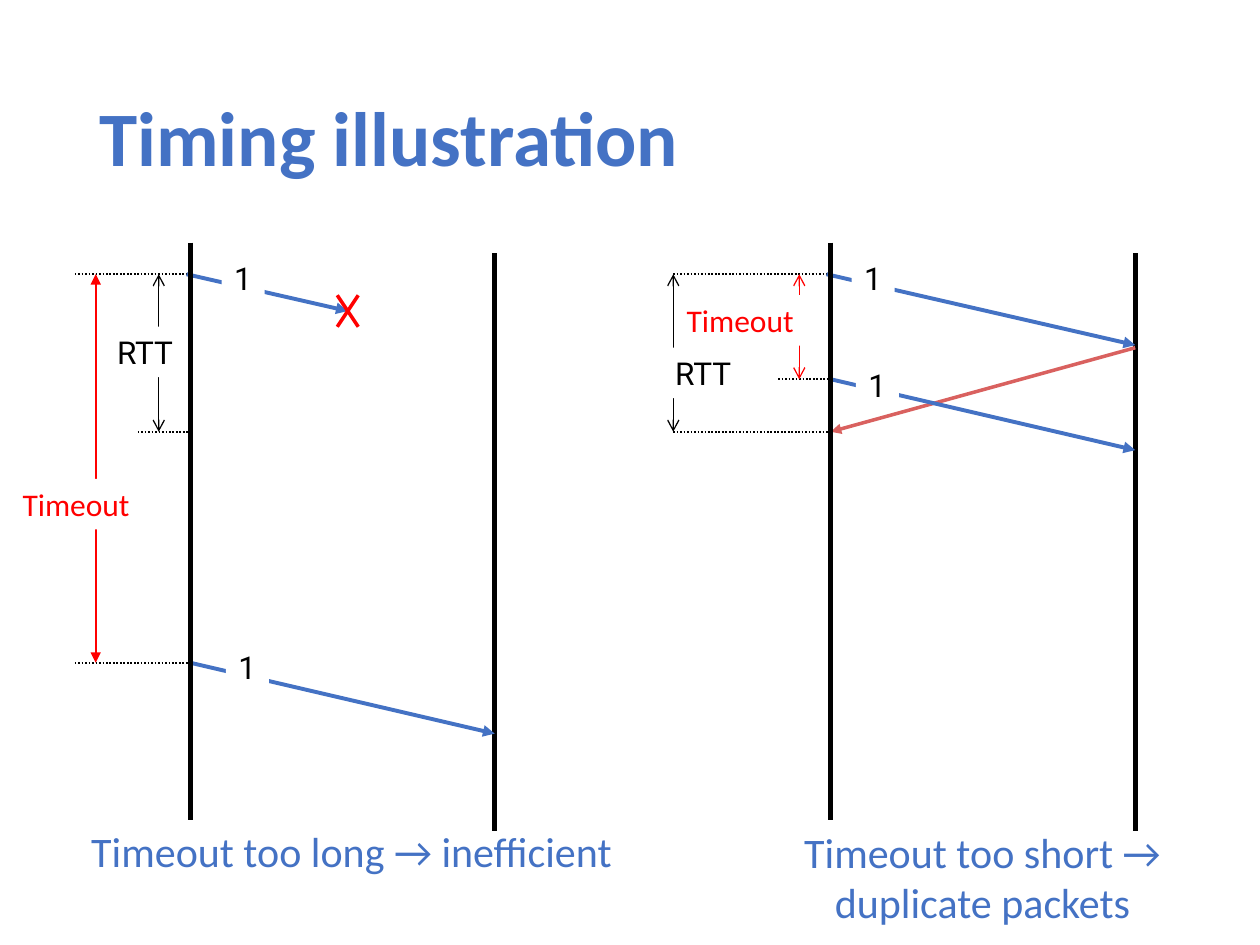
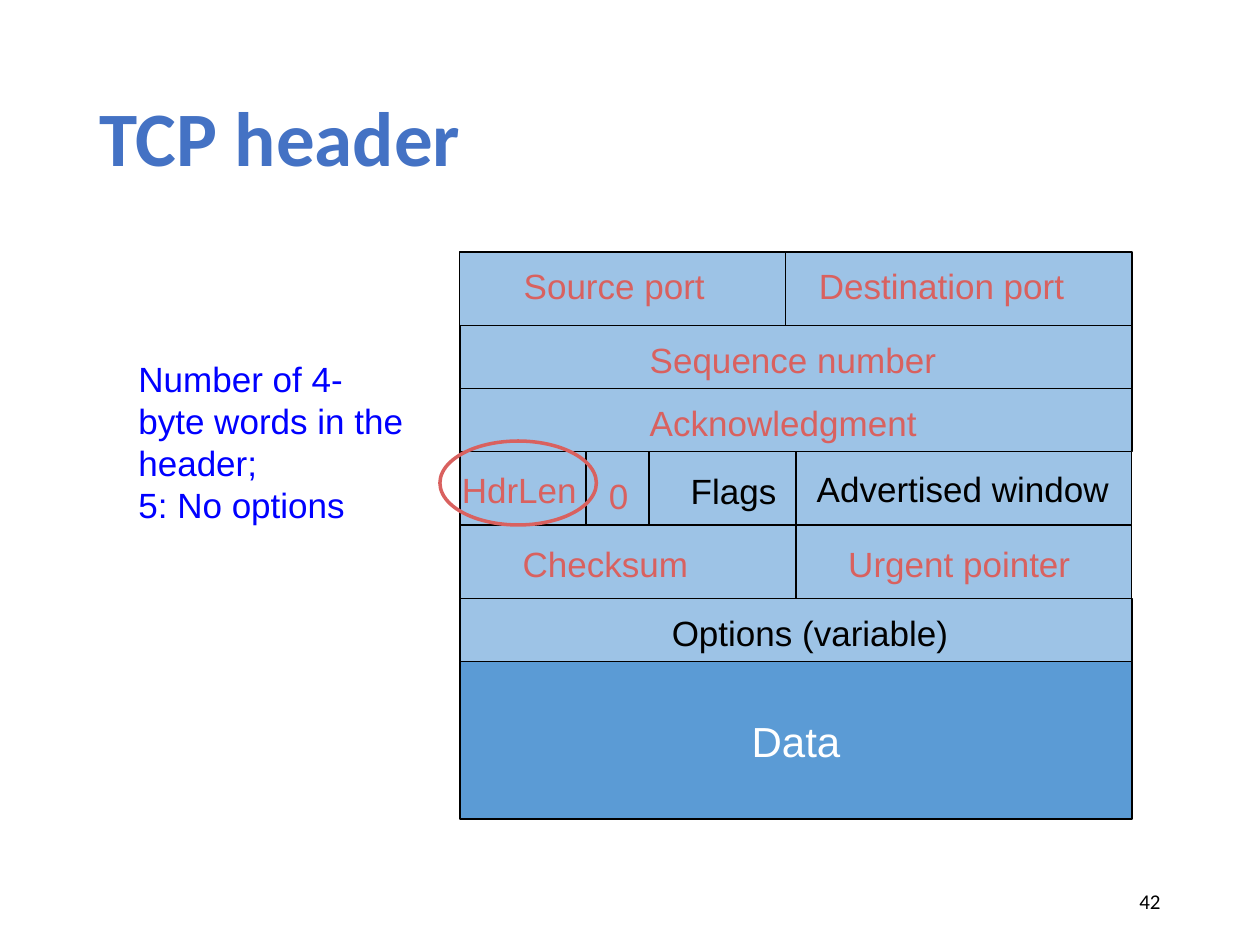
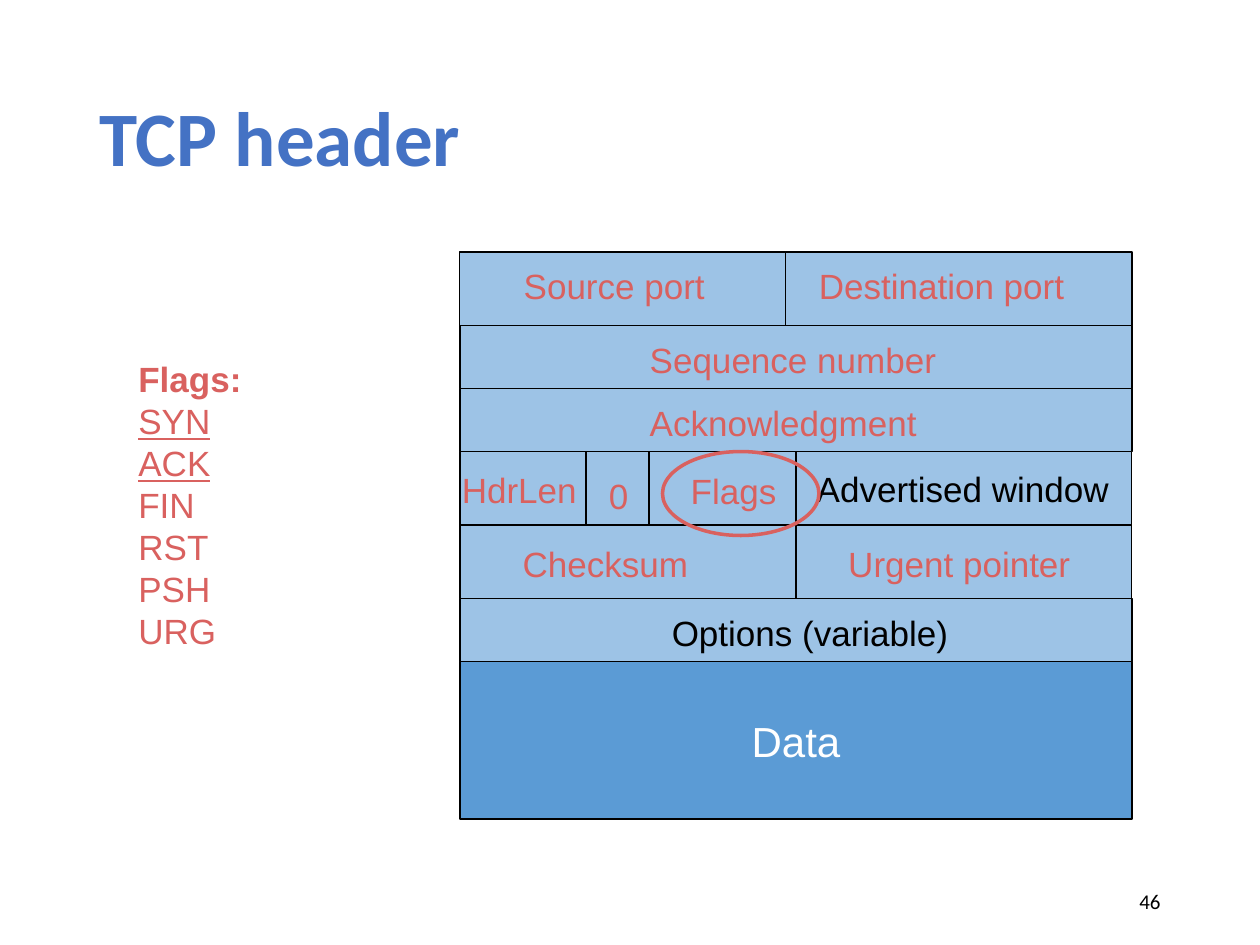
from dataclasses import dataclass
from typing import Optional

from lxml.etree import SubElement
from pptx import Presentation
from pptx.dml.color import RGBColor
from pptx.enum.dml import MSO_LINE
from pptx.enum.shapes import MSO_CONNECTOR as Connector, MSO_SHAPE as Preset
from pptx.enum.text import MSO_ANCHOR as Anchor, MSO_AUTO_SIZE as AutoSize, PP_ALIGN as Align
from pptx.oxml.ns import qn
from pptx.util import Inches, Pt

# Shared colours
BLACK, WHITE, RED = "000000", "FFFFFF", "FF0000"
BLUE, CORAL, NOTE_BLUE = "4472C4", "D9615F", "0000FF"
HEADER_FILL, DATA_FILL = "9DC3E6", "5B9BD5"


@dataclass(frozen=True)
class Grid:
    """Square cells, twelve to the inch, counted from an origin in inches."""
    left: float
    top: float
    cell: float = 1 / 12

    def point(self, column: float, row: float) -> tuple[float, float]:
        return self.left + column * self.cell, self.top + row * self.cell

    def box(self, column: float, row: float, columns: float, rows: float) -> tuple[float, ...]:
        return (*self.point(column, row), columns * self.cell, rows * self.cell)


@dataclass(frozen=True)
class Style:
    size: float
    font: str
    color: str
    bold: bool = False
    underline: bool = False


@dataclass(frozen=True)
class Line:
    text: str
    style: Style


@dataclass(frozen=True)
class Packet:
    start: tuple[float, float]
    end: tuple[float, float]
    color: str = BLUE
    width: float = 2.25
    label: Optional[tuple[float, float]] = None


@dataclass(frozen=True)
class Span:
    text: str
    column: float
    top: float
    bottom: float
    label: tuple[float, float]
    arrow: str = "arrow"
    width: float = 0.75


@dataclass(frozen=True)
class Cell:
    column: float
    row: float
    columns: float
    rows: float


@dataclass(frozen=True)
class Field:
    name: str
    column: float
    row: float
    columns: float
    color: str = CORAL
    filled: bool = True


TITLE = Style(44, "Calibri", BLUE, bold=True)
CAPTION = Style(24, "Calibri", BLUE)
NUMBER = Style(12, "Calibri", BLACK)
SPAN_STYLES = {"RTT": Style(18, "Roboto", BLACK), "Timeout": Style(18, "Calibri", RED)}
SPAN_WIDTHS = {"RTT": 7.8, "Timeout": 15.1}
LABEL_ROWS = 4.8

TIMING = Grid(0.01, 0.01)
HEADER = Grid(3.65, 2)

presentation = Presentation()
presentation.slide_width, presentation.slide_height = Inches(10), Inches(7.5)


# Drawing helpers
def rgb(color: str) -> RGBColor:
    return RGBColor.from_string(color)


def write(shape, lines: list[Line], align=Align.LEFT, anchor=Anchor.TOP,
          wrap: bool = True, grow: bool = False, spacing: Optional[float] = None) -> None:
    frame = shape.text_frame
    frame.word_wrap = wrap
    frame.vertical_anchor = anchor
    frame.auto_size = AutoSize.SHAPE_TO_FIT_TEXT if grow else AutoSize.NONE
    for index, line in enumerate(lines):
        paragraph = frame.add_paragraph() if index else frame.paragraphs[0]
        paragraph.alignment = align
        if spacing:
            paragraph.line_spacing = spacing
        run = paragraph.add_run()
        run.text = line.text
        font, style = run.font, line.style
        font.size, font.name = Pt(style.size), style.font
        font.bold, font.underline = style.bold, style.underline
        font.color.rgb = rgb(style.color)


def add_text(slide, box: tuple[float, ...], lines: list[Line], **options) -> None:
    write(slide.shapes.add_textbox(*map(Inches, box)), lines, **options)


def add_preset(slide, preset, box: tuple[float, ...], fill: Optional[str] = None,
               line: Optional[str] = None, width: float = 0.75):
    shape = slide.shapes.add_shape(preset, *map(Inches, box))
    shape.shadow.inherit = False
    if fill:
        shape.fill.solid()
        shape.fill.fore_color.rgb = rgb(fill)
    else:
        shape.fill.background()
    if line:
        shape.line.color.rgb = rgb(line)
        shape.line.width = Pt(width)
    else:
        shape.line.fill.background()
    return shape


def add_label(slide, box: tuple[float, ...], line: Line, fill: str) -> None:
    write(add_preset(slide, Preset.RECTANGLE, box, fill), [line], wrap=False, grow=True)


def add_line(slide, start: tuple[float, float], end: tuple[float, float], color: str = BLACK,
             width: float = 0.75, head: Optional[str] = None, tail: Optional[str] = None,
             dotted: bool = False) -> None:
    connector = slide.shapes.add_connector(Connector.STRAIGHT, *map(Inches, (*start, *end)))
    connector.line.color.rgb = rgb(color)
    connector.line.width = Pt(width)
    if dotted:
        connector.line.dash_style = MSO_LINE.ROUND_DOT
    outline = connector.line._get_or_add_ln()
    for tag, kind in (("a:headEnd", head), ("a:tailEnd", tail)):
        if kind:
            SubElement(outline, qn(tag)).set("type", kind)
    SubElement(connector._element.spPr, qn("a:effectLst"))


def add_titled_slide(title: str):
    slide = presentation.slides.add_slide(presentation.slide_layouts[6])
    add_text(slide, (0.69, 0.4, 8.62, 1.45), [Line(title, TITLE)],
             anchor=Anchor.MIDDLE, spacing=0.9)
    return slide


# Timing diagram: columns of the lifelines and rows of the events
SENDERS, RECEIVERS = (18, 79), (47, 108)
SENT, EARLY_RESEND, REPLY, LATE_RESEND = 26, 36, 41, 63
TRAVEL = 6.75

TICKS = [(7, 18, SENT), (7, 18, LATE_RESEND), (13, 18, REPLY),
         (64, 79, SENT), (64, 79, REPLY), (74, 79, EARLY_RESEND)]
SPANS = [
    Span("RTT", 15, SENT, REPLY, (9.85, 31)),
    Span("Timeout", 9, SENT, LATE_RESEND, (0.85, 45.5), "triangle", 1),
    Span("Timeout", 76, SENT, EARLY_RESEND, (64.1, 28)),
    Span("RTT", 64, SENT, REPLY, (63, 33)),
]
PACKETS = [
    Packet((17.65, SENT), (33, 29.5), label=(21, 24)),
    Packet((18, LATE_RESEND), (47, LATE_RESEND + TRAVEL), label=(21.4, 61)),
    Packet((78.6, SENT), (108, SENT + TRAVEL), label=(81, 24)),
    Packet((108, 33), (79, REPLY), CORAL, 2),
    Packet((79, EARLY_RESEND), (108, EARLY_RESEND + TRAVEL), label=(81.4, 34.2)),
]


def add_timing_slide() -> None:
    slide = add_titled_slide("Timing illustration")
    point, box = TIMING.point, TIMING.box

    def add_lifelines(columns: tuple[int, ...], top: int) -> None:
        for column in columns:
            add_line(slide, point(column, top), point(column, top + 55), width=3)

    # Dotted event marks and measured intervals
    for first, last, row in TICKS:
        add_line(slide, point(first, row), point(last, row), width=1, dotted=True)
    for span in SPANS:
        style = SPAN_STYLES[span.text]
        add_line(slide, point(span.column, span.top), point(span.column, span.bottom),
                 style.color, span.width, span.arrow, span.arrow)
        add_label(slide, box(*span.label, SPAN_WIDTHS[span.text], LABEL_ROWS),
                  Line(span.text, style), WHITE)

    # Packets between the lifelines
    add_lifelines(RECEIVERS, 24)
    for packet in PACKETS:
        add_line(slide, point(*packet.start), point(*packet.end),
                 packet.color, packet.width, tail="triangle")
        if packet.label:
            add_label(slide, box(*packet.label, 4.1, LABEL_ROWS),
                      Line("1", SPAN_STYLES["RTT"]), WHITE)
    add_lifelines(SENDERS, 23)

    # Cross over the lost packet
    for first, last in ((32, 34), (34, 32)):
        add_line(slide, point(first, 28), point(last, 31), RED, 2)

    # Captions
    add_text(slide, (0.24, 6.5, 5.1, 0.5), [Line("Timeout too long → inefficient", CAPTION)],
             align=Align.CENTER, grow=True)
    add_text(slide, (5.49, 6.51, 4.69, 0.91),
             [Line("Timeout too short → ", CAPTION), Line("duplicate packets ", CAPTION)],
             align=Align.CENTER, grow=True)


# TCP header: outlined cells, dividers and field names
CELLS = [
    Cell(0, 0, 31, 7), Cell(31, 0, 33, 7),
    Cell(0, 7, 64, 6), Cell(0, 13, 64, 6),
    Cell(0, 19, 32, 7), Cell(32, 19, 32, 7),
    Cell(0, 26, 32, 7), Cell(32, 26, 32, 7),
    Cell(0, 33, 64, 6),
]
DATA = Cell(0, 39, 64, 15)
DIVIDERS = (12, 18)
# Each field is slightly wider than its name, so the name stays on one line
FIELDS = [
    Field("Source port", 4.9, 0.6, 20.2),
    Field("Destination port", 33, 0.6, 26.3),
    Field("Sequence number", 16.9, 7.6, 30.2),
    Field("Acknowledgment", 16.9, 13.6, 28.6),
    Field("Advertised window", 32.8, 19.9, 30.9, BLACK),
    Field("HdrLen", -1, 20, 14, filled=False),
    Field("Flags", 20.8, 20.1, 10.9, BLACK),
    Field("0", 13, 20.6, 4.6),
    Field("Checksum", 4.8, 27.1, 18.7),
    Field("Urgent pointer", 35.8, 27.1, 24.1),
    Field("Options (variable)", 19, 33.6, 29.3, BLACK),
]


def cell_box(cell: Cell) -> tuple[float, ...]:
    return HEADER.box(cell.column, cell.row, cell.columns, cell.rows)


def add_header_slide(number: int, note: list[Line], note_height: float,
                     ring: Cell, highlighted: str) -> None:
    slide = add_titled_slide("TCP header")

    for cell in CELLS:
        add_preset(slide, Preset.RECTANGLE, cell_box(cell), HEADER_FILL, BLACK)
    data = add_preset(slide, Preset.RECTANGLE, cell_box(DATA), DATA_FILL, BLACK)
    write(data, [Line("Data", Style(24, "Arial", WHITE))],
          align=Align.CENTER, anchor=Anchor.MIDDLE, wrap=False)
    for column in DIVIDERS:
        add_line(slide, HEADER.point(column, 19), HEADER.point(column, 26))

    for field in FIELDS:
        color = CORAL if field.name == highlighted else field.color
        line = Line(field.name, Style(20, "Arial", color))
        box = HEADER.box(field.column, field.row, field.columns, 5.2)
        if field.filled:
            add_label(slide, box, line, HEADER_FILL)
        else:
            add_text(slide, box, [line], grow=True)

    # Side note, ring around its field, slide number
    add_text(slide, (1, 2.79, 2.33, note_height), note, grow=True)
    add_preset(slide, Preset.OVAL, cell_box(ring), line=CORAL, width=2)
    add_text(slide, (7.06, 6.95, 2.25, 0.4), [Line(str(number), NUMBER)],
             align=Align.RIGHT, anchor=Anchor.MIDDLE)


LENGTH_NOTE = [Line(text, Style(20, "Arial", NOTE_BLUE))
               for text in ("Number of 4-byte words in the header;", "5: No options")]
FLAG_NOTE = [Line("Flags:", Style(20, "Arial", CORAL, bold=True))]
FLAG_NOTE += [Line(flag, Style(20, "Arial", CORAL, underline=flag in ("SYN", "ACK")))
              for flag in ("SYN", "ACK", "FIN", "RST", "PSH", "URG")]

add_timing_slide()
add_header_slide(42, LENGTH_NOTE, 1.45, Cell(-1.9, 18, 14.9, 8), "HdrLen")
add_header_slide(46, FLAG_NOTE, 2.79, Cell(19.3, 19, 14.9, 8), "Flags")
presentation.save("out.pptx")
